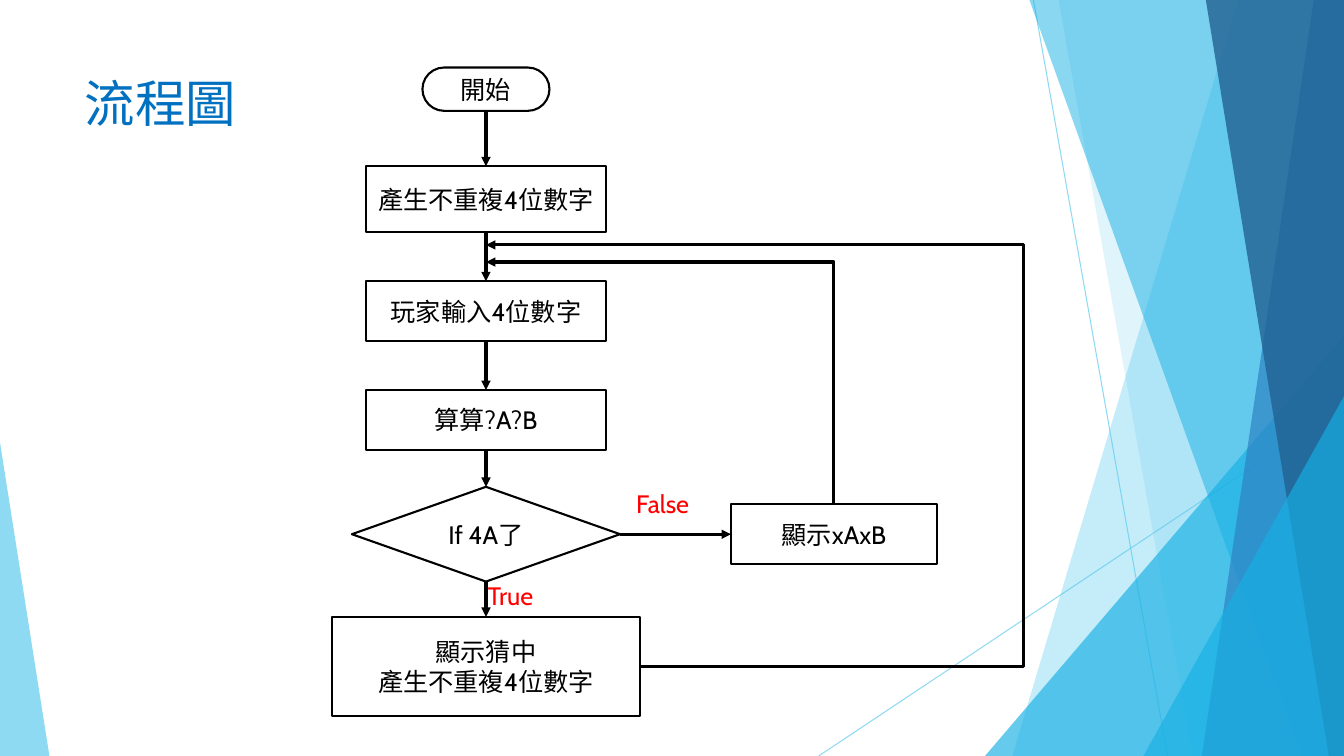
"""Build the flowchart slide for a four-digit guessing game."""
from pptx import Presentation
from pptx.dml.color import RGBColor
from pptx.enum.shapes import MSO_CONNECTOR, MSO_SHAPE
from pptx.enum.text import MSO_ANCHOR, MSO_AUTO_SIZE, PP_ALIGN
from pptx.oxml.ns import qn
from pptx.util import Pt
from lxml import etree

SCALE = 9144
WIDTH, HEIGHT = 1333, 750
STRAIGHT, ELBOW = MSO_CONNECTOR.STRAIGHT, MSO_CONNECTOR.ELBOW
RECTANGLE, ROUNDED = MSO_SHAPE.RECTANGLE, MSO_SHAPE.ROUNDED_RECTANGLE
DIAMOND, TRIANGLE = MSO_SHAPE.DIAMOND, MSO_SHAPE.ISOSCELES_TRIANGLE
TOP, MIDDLE = MSO_ANCHOR.TOP, MSO_ANCHOR.MIDDLE
LEFT, CENTER = PP_ALIGN.LEFT, PP_ALIGN.CENTER
NO_FIT, GROW = MSO_AUTO_SIZE.NONE, MSO_AUTO_SIZE.SHAPE_TO_FIT_TEXT
TITLE_ONLY = 5
SIDE_TOP, SIDE_LEFT, SIDE_BOTTOM, SIDE_RIGHT = range(4)
COLORS = {
    "white": "FFFFFF", "black": "000000", "red": "FF0000", "title": "0070C0",
    "sky": "5FCBEF", "cyan": "17B0E4", "blue": "2E83C3", "navy": "226292",
}
FORMATS = {
    "title": {"frame": {"word_wrap": True, "auto_size": NO_FIT, "vertical_anchor": TOP},
              "align": LEFT, "font": {"name": "Cabin", "size": Pt(36)}, "color": "title"},
    "step": {"frame": {"word_wrap": True, "vertical_anchor": MIDDLE},
             "align": CENTER, "font": {"name": "Cabin", "size": Pt(18)}, "color": "black"},
    "label": {"frame": {"word_wrap": False, "auto_size": GROW, "vertical_anchor": TOP},
              "align": LEFT, "font": {"name": "Cabin", "size": Pt(18)}, "color": "red"},
}


def px(*lengths):
    """Turn px lengths into EMU."""
    return [length * SCALE for length in lengths]


def set_values(target, values):
    """Set each named attribute on the target."""
    for name, value in values.items():
        setattr(target, name, value)


class FlowSlide:
    """Holds the style and the current slide."""

    def __init__(self, deck):
        """Add a title-only slide to the deck."""
        self.page = deck.slides.add_slide(deck.slide_layouts[TITLE_ONLY])
        self.shapes = self.page.shapes

    def paint(self, fill, name, opacity=100):
        """Give a fill a named colour and an opacity in percent."""
        fill.solid()
        fill.fore_color.rgb = RGBColor.from_string(COLORS[name])

    def fade(self, parent, opacity):
        """Set the opacity of a solid fill in percent."""
        color = parent.find(qn("a:solidFill"))[0]
        etree.SubElement(color, qn("a:alpha"), val=str(opacity * 1000))

    def add_text(self, box, text, style):
        """Put lines of text in a box with a named format."""
        look = FORMATS[style]
        frame = box.text_frame
        set_values(frame, look["frame"])
        for index, line in enumerate(text.split("\n")):
            para = frame.add_paragraph() if index else frame.paragraphs[0]
            para.alignment = look["align"]
            span = para.add_run()
            span.text = line
            set_values(span.font, look["font"])
            span.font.color.rgb = RGBColor.from_string(COLORS[look["color"]])

    def title(self, text, *bounds):
        """Move and fill the title placeholder."""
        title = self.shapes.title
        set_values(title, dict(zip(("left", "top", "width", "height"), px(*bounds))))
        self.add_text(title, text, "title")

    def label(self, text, *bounds):
        """Add a branch label."""
        self.add_text(self.shapes.add_textbox(*px(*bounds)), text, "label")

    def step(self, kind, text, center, top, width, height):
        """Add an outlined flowchart step around a centre line."""
        box = self.shapes.add_shape(kind, *px(center - width // 2, top, width, height))
        box.shadow.inherit = False
        if kind == ROUNDED:
            box.adjustments[0] = 0.5
        self.paint(box.fill, "white")
        self.paint(box.line.fill, "black")
        box.line.width = Pt(1.5)
        self.add_text(box, text, "step")
        return box

    def facet(self, points, color, opacity):
        """Add a see-through background polygon."""
        builder = self.shapes.build_freeform(*points[0], scale=SCALE)
        builder.add_line_segments(points[1:], close=True)
        self.finish_facet(builder.convert_to_shape(), color, opacity)

    def wedge(self, bounds, apex, color, opacity):
        """Add a see-through right-angled triangle."""
        wedge = self.shapes.add_shape(TRIANGLE, *px(*bounds))
        wedge.adjustments[0] = apex
        self.finish_facet(wedge, color, opacity)

    def finish_facet(self, shape, color, opacity):
        """Fill a background shape and remove its outline."""
        shape.shadow.inherit = False
        shape.line.fill.background()
        self.paint(shape.fill, color)
        self.fade(shape._element.spPr, opacity)

    def line(self, kind, start, end, color="black", width=2.25, arrow=None):
        """Add a connector, with an arrowhead at headEnd or tailEnd."""
        line = self.shapes.add_connector(kind, *px(*start, *end))
        self.paint(line.line.fill, color)
        line.line.width = Pt(width)
        properties = line._element.spPr
        if arrow:
            etree.SubElement(properties.find(qn("a:ln")), qn(f"a:{arrow}"), type="triangle")
        etree.SubElement(properties, qn("a:effectLst"))
        return line

    def arrow(self, source, source_side, target, target_side):
        """Join two steps with a straight arrow."""
        line = self.line(STRAIGHT, (0, 0), (0, 0), arrow="tailEnd")
        line.begin_connect(source, source_side)
        line.end_connect(target, target_side)

    def elbow(self, preset, start, end, arrow, bend=None):
        """Add a bent arrow of a preset form, with an optional bend ratio."""
        line = self.line(ELBOW, start, end, arrow=arrow)
        geometry = line._element.spPr.find(qn("a:prstGeom"))
        geometry.set("prst", preset)
        if bend is not None:
            etree.SubElement(geometry.find(qn("a:avLst")), qn("a:gd"),
                             name="adj1", fmla=f"val {round(bend * 100000)}")

    def edge_facet(self, top, bottom, color, opacity):
        """Add a facet that reaches the right edge of the slide."""
        self.facet([(top, 0), (WIDTH, 0), (WIDTH, HEIGHT), (bottom, HEIGHT)],
                   color, opacity)

    def backdrop(self):
        """Draw the faceted background."""
        for start, end in (((1025, 0), (1158, HEIGHT)), ((WIDTH, 403), (812, HEIGHT))):
            ray = self.line(STRAIGHT, start, end, "sky", 0.75)
            self.fade(ray._element.spPr.find(qn("a:ln")), 70)
        self.edge_facet(1228, 1004, "sky", 36)
        self.edge_facet(1050, 1183, "sky", 20)
        self.wedge((977, 333, 356, 417), 1, "cyan", 66)
        self.edge_facet(1021, 1291, "cyan", 50)
        self.edge_facet(1303, 1192, "blue", 70)
        self.edge_facet(1196, 1318, "navy", 80)
        self.wedge((1134, 393, 199, 357), 1, "cyan", 66)
        self.wedge((0, 439, 49, 311), 0, "sky", 70)


def main():
    """Build and save the deck."""
    deck = Presentation()
    deck.slide_width, deck.slide_height = px(WIDTH, HEIGHT)
    flow = FlowSlide(deck)
    flow.backdrop()
    flow.title("流程圖", 74, 67, 940, 144)

    center = 482
    steps = [flow.step(kind, text, center, *bounds) for kind, text, *bounds in (
        (ROUNDED, "開始", 67, 126, 43),
        (RECTANGLE, "產生不重複4位數字", 165, 238, 65),
        (RECTANGLE, "玩家輸入4位數字", 279, 238, 59),
        (RECTANGLE, "算算?A?B", 387, 238, 59),
        (DIAMOND, "If 4A了", 483, 266, 94),
        (RECTANGLE, "顯示猜中\n產生不重複4位數字", 612, 306, 98),
    )]
    for source, target in zip(steps, steps[1:]):
        flow.arrow(source, SIDE_BOTTOM, target, SIDE_TOP)

    result = flow.step(RECTANGLE, "顯示xAxB", 827, 500, 204, 60)
    flow.arrow(steps[4], SIDE_RIGHT, result, SIDE_LEFT)
    flow.label("True", 474, 571, 70, 40)
    flow.label("False", 621, 480, 78, 40)

    right, loop_x = 635, 1015
    flow.elbow("bentConnector3", (right, 661), (center, 243), "tailEnd",
               (right - loop_x) / (right - center))
    flow.elbow("bentConnector2", (center, 260), (827, 500), "headEnd")
    deck.save("out.pptx")


if __name__ == "__main__":
    main()
